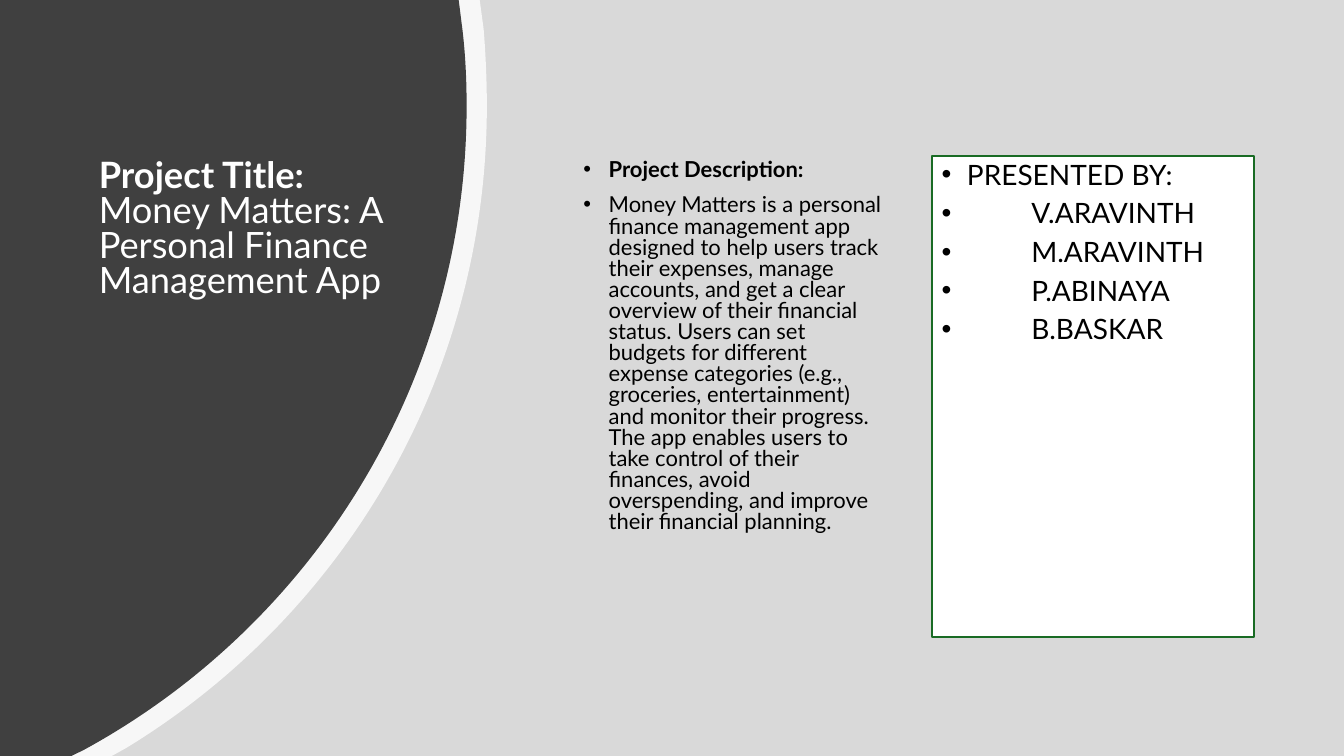
from lxml import etree
from pptx import Presentation
from pptx.dml.color import RGBColor
from pptx.enum.shapes import MSO_SHAPE
from pptx.enum.text import MSO_ANCHOR, PP_ALIGN
from pptx.oxml.ns import qn
from pptx.util import Cm, Pt

RECTANGLE = MSO_SHAPE.RECTANGLE
TOP = MSO_ANCHOR.TOP
LEFT = PP_ALIGN.LEFT

WHITE = RGBColor(0xFF, 0xFF, 0xFF)
BLACK = RGBColor(0x00, 0x00, 0x00)
LIGHT_GREY = RGBColor(0xD9, 0xD9, 0xD9)
DARK_GREY = RGBColor(0x40, 0x40, 0x40)
GREEN = RGBColor(0x19, 0x6B, 0x24)

FONT = "Lato"
WIDTH, HEIGHT = 33.87, 19.05
CONTENT_TOP = 3.93
COLUMN_WIDTH, COLUMN_HEIGHT = 8.13, 12.12
BULLET_INDENT = 0.64
NAME_INDENT = 2.26

DESCRIPTION = (
    "Money Matters is a personal finance management app designed to help users "
    "track their expenses, manage accounts, and get a clear overview of their "
    "financial status. Users can set budgets for different expense categories "
    "(e.g., groceries, entertainment) and monitor their progress. The app enables "
    "users to take control of their finances, avoid overspending, and improve "
    "their financial planning."
)
PRESENTERS = ["V.ARAVINTH", "M.ARAVINTH", "P.ABINAYA", "B.BASKAR"]

BAND_CORNERS = [(12.09, 0), (12.19, 0.74)]
BAND_CURVES = [
    [(12.24, 1.37), (12.27, 2.03), (12.27, 2.67)],
    [(12.27, 9.53), (8.64, 15.52), (3.18, 18.85)],
]
PANEL_CORNERS = [(11.56, 0), (11.66, 0.79)]
PANEL_CURVES = [
    [(11.73, 1.4), (11.76, 2.03), (11.76, 2.67)],
    [(11.76, 9.68), (7.85, 15.77), (2.11, 18.9)],
]


def bend_segments(segments):
    curve = etree.Element(qn("a:cubicBezTo"))
    segments[0].addprevious(curve)
    for segment in segments:
        curve.append(segment[0])
        segment.getparent().remove(segment)


def add_curved_panel(slide, corners, curves, bottom_right, color, opacity=100):
    outline = corners + sum(curves, []) + [(bottom_right, HEIGHT), (0, HEIGHT)]
    builder = slide.shapes.build_freeform(0, 0)
    builder.add_line_segments([(Cm(x), Cm(y)) for x, y in outline], close=True)
    panel = builder.convert_to_shape()
    segments = panel._element.findall(".//" + qn("a:lnTo"))
    for index in range(len(curves)):
        start = len(corners) + 3 * index
        bend_segments(segments[start:start + 3])
    panel.shadow.inherit = False
    panel.fill.solid()
    panel.fill.fore_color.rgb = color
    panel.line.fill.background()
    if opacity < 100:
        fill_color = panel.fill._xPr.find(".//" + qn("a:srgbClr"))
        etree.SubElement(fill_color, qn("a:alpha"), val=str(opacity * 1000))


def add_rectangle(slide, left, top, width, height, color, border=None):
    rectangle = slide.shapes.add_shape(
        RECTANGLE, Cm(left), Cm(top), Cm(width), Cm(height)
    )
    rectangle.shadow.inherit = False
    rectangle.fill.solid()
    rectangle.fill.fore_color.rgb = color
    if border is None:
        rectangle.line.fill.background()
    else:
        rectangle.line.color.rgb = border
        rectangle.line.width = Pt(1.5)
    return rectangle


def add_text_frame(slide, left, width, height):
    box = slide.shapes.add_textbox(Cm(left), Cm(CONTENT_TOP), Cm(width), Cm(height))
    box.text_frame.word_wrap = True
    return box.text_frame


def format_run(run, size, color, bold=False):
    run.font.name = FONT
    run.font.size = Pt(size)
    run.font.bold = bold
    run.font.color.rgb = color


def add_bullet(paragraph, indent):
    properties = paragraph._p.get_or_add_pPr()
    properties.set("marL", str(Cm(indent)))
    properties.set("indent", str(-Cm(indent)))
    bullet_color = etree.SubElement(properties, qn("a:buClr"))
    etree.SubElement(bullet_color, qn("a:srgbClr"), val=str(BLACK))
    etree.SubElement(properties, qn("a:buFont"), typeface="Arial")
    etree.SubElement(properties, qn("a:buChar"), char="•")


def write_bullets(frame, items, size, line_spacing, before=0, after=0):
    frame.text = "\n".join(text for text, _, _ in items)
    for index, (paragraph, item) in enumerate(zip(frame.paragraphs, items)):
        _, indent, bold = item
        add_bullet(paragraph, indent)
        paragraph.alignment = LEFT
        paragraph.line_spacing = line_spacing
        paragraph.space_before = Pt(before if index else 0)
        paragraph.space_after = Pt(after)
        format_run(paragraph.runs[0], size, BLACK, bold)


def add_title(slide):
    title = add_text_frame(slide, 2.24, 7.98, 5.99).paragraphs[0]
    title.line_spacing = 0.8
    parts = [
        ("Project Title:", True),
        (" Money Matters: A Personal Finance Management App", False),
    ]
    for text, bold in parts:
        run = title.add_run()
        run.text = text
        format_run(run, 25.9, WHITE, bold)


def add_description(slide):
    frame = add_text_frame(slide, 14.45, COLUMN_WIDTH, COLUMN_HEIGHT)
    items = [
        ("Project Description:", BULLET_INDENT, True),
        (DESCRIPTION, BULLET_INDENT, False),
    ]
    write_bullets(frame, items, 15.7, 0.8, before=10)


def add_presenters(slide):
    card = add_rectangle(
        slide, 23.48, CONTENT_TOP, COLUMN_WIDTH, COLUMN_HEIGHT, WHITE, GREEN
    )
    frame = card.text_frame
    frame.word_wrap = True
    frame.vertical_anchor = TOP
    items = [("PRESENTED BY:", BULLET_INDENT, False)]
    items += [(name, NAME_INDENT, False) for name in PRESENTERS]
    write_bullets(frame, items, 20, 0.9, after=6)


def main():
    presentation = Presentation()
    presentation.slide_width = Cm(WIDTH)
    presentation.slide_height = Cm(HEIGHT)
    slide = presentation.slides.add_slide(presentation.slide_layouts[6])
    add_rectangle(slide, 0, 0, WIDTH, HEIGHT, LIGHT_GREY)
    add_curved_panel(slide, BAND_CORNERS, BAND_CURVES, 2.82, WHITE, opacity=80)
    add_curved_panel(slide, PANEL_CORNERS, PANEL_CURVES, 1.8, DARK_GREY)
    add_title(slide)
    add_description(slide)
    add_presenters(slide)
    presentation.save("out.pptx")


if __name__ == "__main__":
    main()
